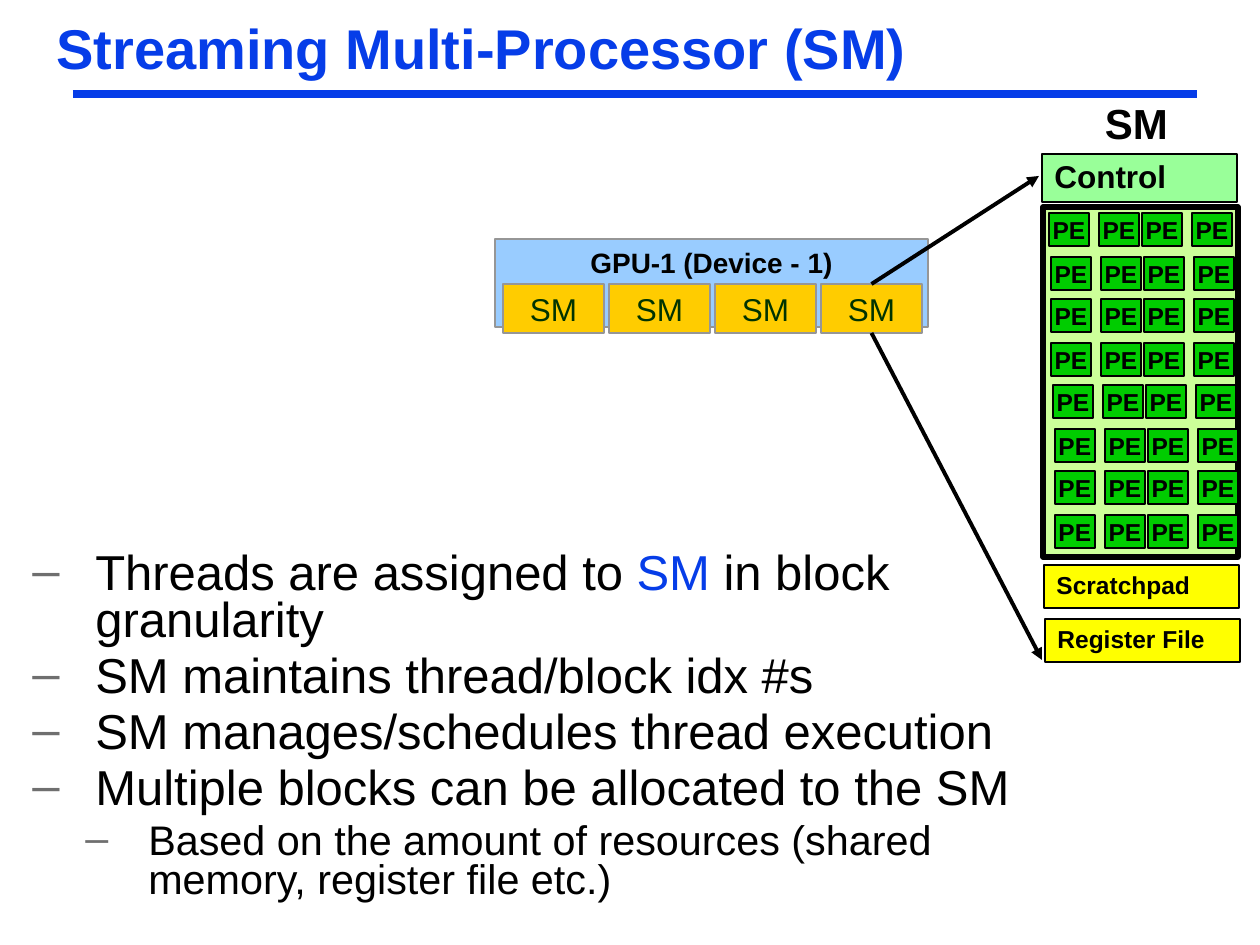
"""Build the Streaming Multi-Processor slide."""
from lxml import etree
from pptx import Presentation
from pptx import util as u
from pptx.dml.color import RGBColor
from pptx.enum import shapes, text
from pptx.oxml.ns import qn

INK = {"blue": "063DE8", "black": "000000", "grey": "969696", "dash": "6F6F6F",
       "lime": "CCFF99", "mint": "99FF99", "yellow": "FFFF00", "sky": "99CCFF",
       "gold": "FFCC00", "pine": "003300", "green": "00CC00"}
RGB = {name: RGBColor.from_string(code) for name, code in INK.items()}
PX = 914400 / 126
MID, TOP = text.MSO_ANCHOR.MIDDLE, text.MSO_ANCHOR.TOP
LEFT, CENTER = text.PP_ALIGN.LEFT, text.PP_ALIGN.CENTER

deck = Presentation()
deck.slide_width, deck.slide_height = u.Inches(10), u.Inches(7.5)
slide = deck.slides.add_slide(deck.slide_layouts[6])


def write(shape, label, size, ink="black", bold=True, align=CENTER, anchor=MID, wrap=False):
    frame = shape.text_frame
    frame.text = label
    frame.word_wrap = wrap
    frame.vertical_anchor = anchor
    para = frame.paragraphs[0]
    para.alignment = align
    font = para.runs[0].font
    font.name, font.size, font.bold = "Arial", u.Pt(size), bold
    font.color.rgb = RGB[ink]


def box(left, top, width, height, fill, line="black", weight=0.75):
    shape = slide.shapes.add_shape(
        shapes.MSO_SHAPE.RECTANGLE, *[round(n * PX) for n in (left, top, width, height)])
    shape.shadow.inherit = False
    shape.fill.solid()
    shape.fill.fore_color.rgb = RGB[fill]
    shape.line.color.rgb = RGB[line]
    shape.line.width = u.Pt(weight)
    return shape


title = slide.shapes.add_textbox(*[round(n * PX) for n in (44, 20, 1145, 64)])
write(title, "Streaming Multi-Processor (SM)", 32, "blue", align=LEFT, wrap=True)
title.text_frame.paragraphs[0].line_spacing = 0.87

box(1043, 207, 195, 350, "lime", weight=3)
for label, left, top, height, fill, size in (
        ("Control", 1042, 154, 48, "mint", 18),
        ("Scratchpad", 1044, 565, 43, "yellow", 14),
        ("Register File", 1045, 619, 43, "yellow", 14)):
    part = box(left, top, 195, height, fill)
    write(part, label, size, align=LEFT, wrap=True)
    part.text_frame.paragraphs[0].line_spacing = 0.9

head = slide.shapes.add_textbox(*[round(n * PX) for n in (1061, 91, 151, 63)])
write(head, "SM", 24, anchor=TOP, wrap=True)

gpu = box(495, 239, 433, 88, "sky", "grey")
write(gpu, "GPU-1 (Device - 1)", 16, anchor=TOP, wrap=True)
for col in range(4):
    core = box(503 + 106 * col, 284, 101, 49, "gold", "grey")
    write(core, "SM", 18, "pine", bold=False, anchor=TOP)

ends = [(0, 872, 284, 1039, 176), (2, 872, 333, 1042, 660)]
rule = (None, 73, 94, 1197, 94)
for side, *spots in [rule] + ends:
    line = slide.shapes.add_connector(
        shapes.MSO_CONNECTOR.STRAIGHT, *[round(n * PX) for n in spots])
    props = line.line
    joined = side is not None
    props.color.rgb = RGB["black" if joined else "blue"]
    props.width = u.Pt(2.25 if joined else 4.5)
    if joined:
        line.begin_connect(core, side)
        etree.SubElement(props._get_or_add_ln(), qn("a:tailEnd"), type="triangle")
    etree.SubElement(line._element.spPr, qn("a:effectLst"))

shifts = (0, 2, 2, 2, 4, 6, 6, 6)
for row, shift in enumerate(shifts):
    for left in (1049, 1099, 1142, 1192):
        top = 213 + 86 * (row // 2) + 44 * (row % 2)
        write(box(left + shift, top, 40, 33, "green"), "PE", 14)

body = slide.shapes.add_textbox(*[round(n * PX) for n in (20, 547, 1031, 364)])
frame = body.text_frame
frame.word_wrap = True
points = [
    (0, ["Threads are assigned to ", "SM", " in block granularity"]),
    (0, ["SM maintains thread/block idx #s"]),
    (0, ["SM manages/schedules thread execution"]),
    (0, ["Multiple blocks can be allocated to the SM"]),
    (1, ["Based on the amount of resources (shared memory, register file etc.)"])]
for rank, (level, parts) in enumerate(points):
    para = frame.add_paragraph() if rank else frame.paragraphs[0]
    para.level = level
    para.line_spacing = 0.8
    para.space_before = u.Pt(2.5 if rank else 0)
    para.space_after = u.Pt(2.5)
    ppr = para._p.get_or_add_pPr()
    ppr.set("marL", str(u.Inches(0.92 if level else 0.5)))
    ppr.set("indent", str(-u.Inches(0.5)))
    tint = etree.SubElement(ppr, qn("a:buClr"))
    etree.SubElement(tint, qn("a:srgbClr"), val=INK["dash"])
    etree.SubElement(ppr, qn("a:buFont"), typeface="Arial")
    etree.SubElement(ppr, qn("a:buChar"), char="–")
    for part in parts:
        run = para.add_run()
        run.text = part
        run.font.name, run.font.size = "Arial", u.Pt(23.6 if level else 28)
        run.font.color.rgb = RGB["blue" if part == "SM" else "black"]

deck.save("out.pptx")
